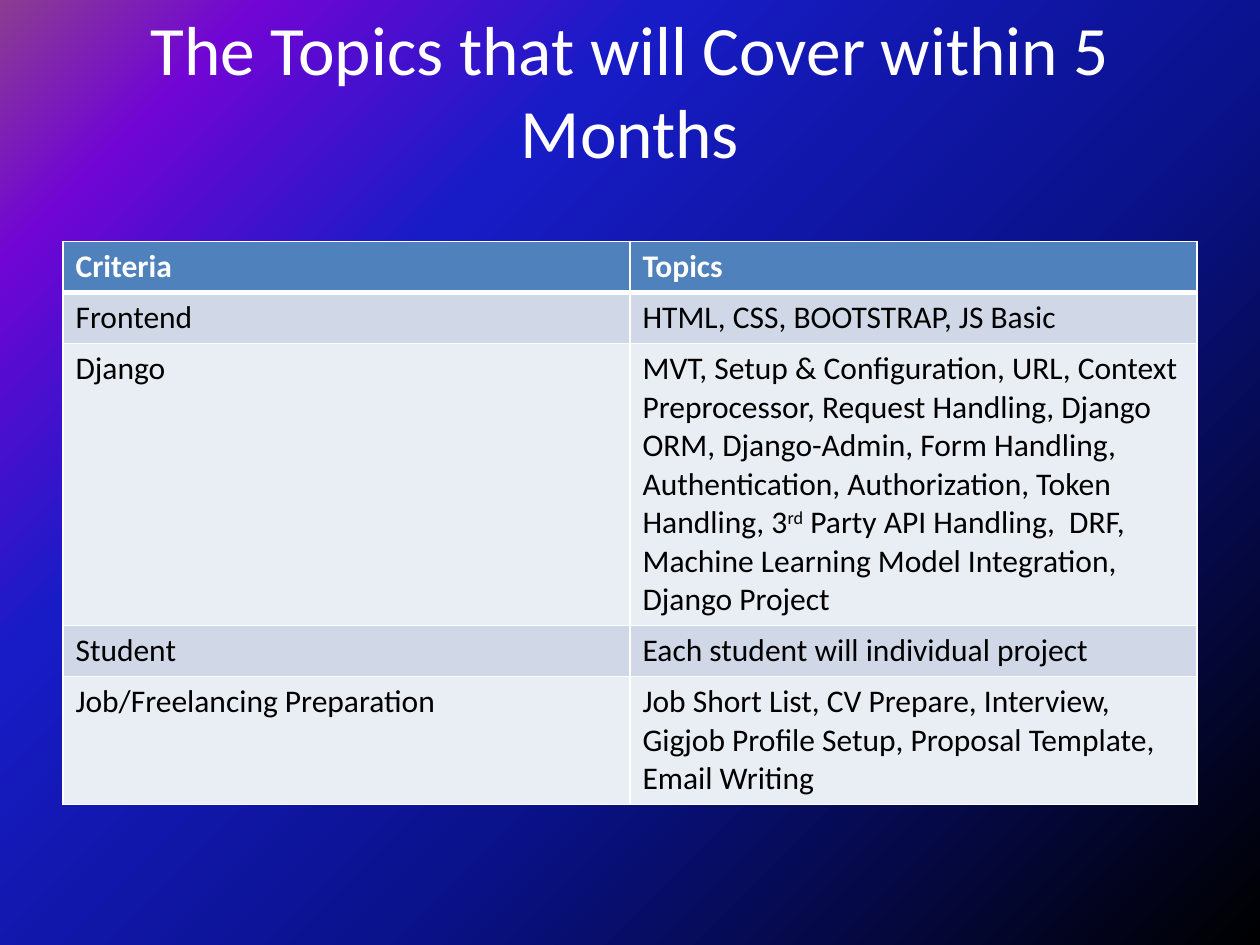
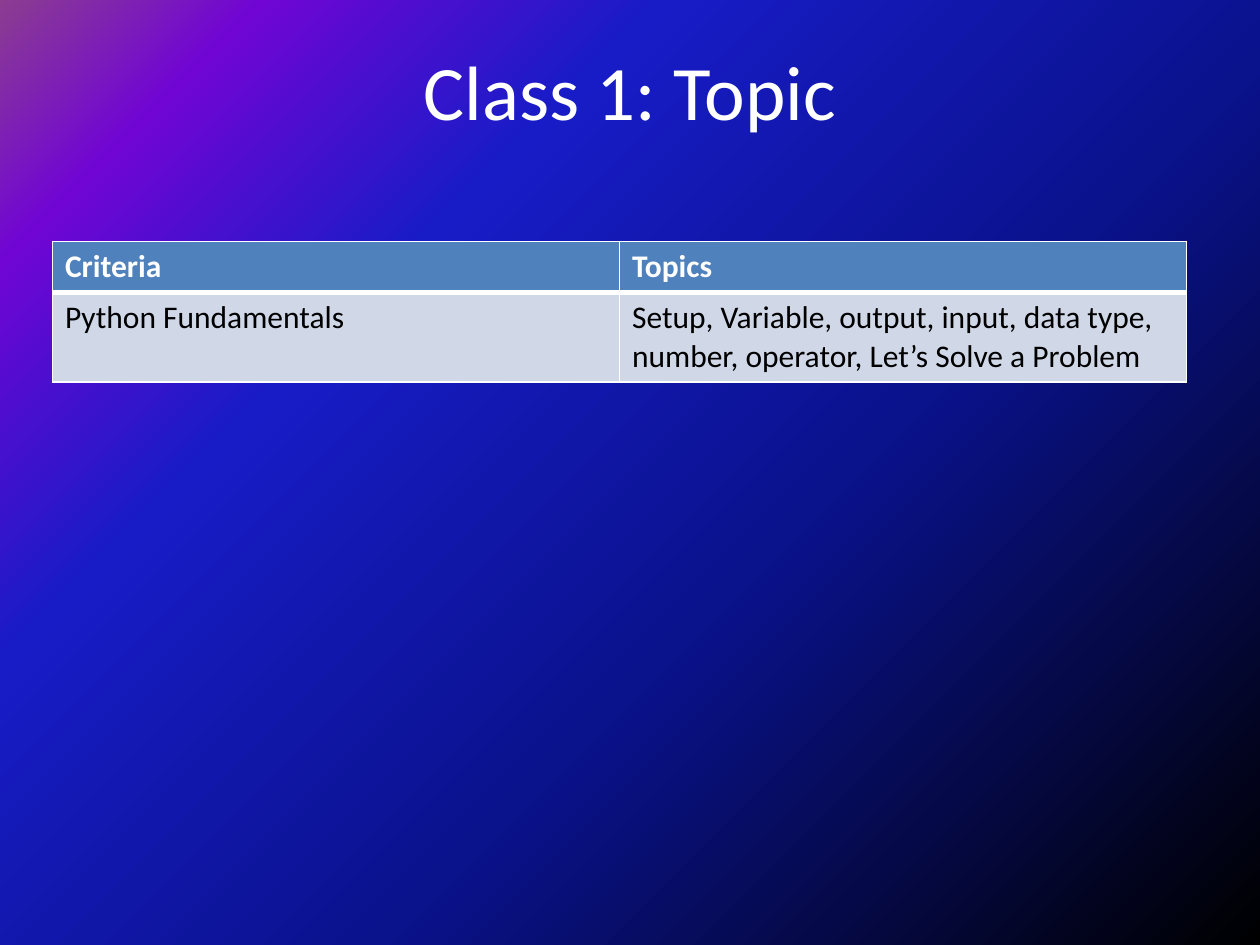
from pptx import Presentation
from pptx.dml.color import RGBColor
from pptx.enum.text import MSO_ANCHOR, MSO_AUTO_SIZE, PP_ALIGN
from pptx.oxml import parse_xml
from pptx.oxml.ns import nsdecls
from pptx.util import Pt

WHITE, BLACK, HEAD = "FFFFFF", "000000", "4F81BD"
BANDS = ["D0D8E8", "E9EDF4"]
STOPS = [(0, BLACK), (40, "0A128C"), (70, "181CC7"), (88, "7005D4"), (100, "8C3D91")]
ROW = 29.2


def color(code):
    return RGBColor.from_string(code)


class Deck:
    face = "Calibri"

    def __init__(self):
        self.prs = Presentation()
        self.prs.slide_width, self.prs.slide_height = Pt(720), Pt(540)
        self.slide = None
        self.backdrop()

    def backdrop(self):
        fill = self.prs.slide_master.background.fill
        fill.solid()
        stops = "".join(
            f'<a:gs pos="{pos * 1000}"><a:srgbClr val="{code}"/></a:gs>'
            for pos, code in STOPS
        )
        grad = parse_xml(
            f'<a:gradFill {nsdecls("a")} rotWithShape="1"><a:gsLst>{stops}</a:gsLst>'
            '<a:path path="circle"><a:fillToRect l="100000" t="100000"/></a:path>'
            "</a:gradFill>"
        )
        back = self.prs.slide_master.element.cSld.find(".//{*}bgPr")
        back.replace(back[0], grad)

    def style(self, par, size, code, bold=False):
        font = par.font
        font.name, font.size, font.bold = self.face, Pt(size), bold
        font.color.rgb = color(code)

    def page(self, text, size):
        self.slide = self.prs.slides.add_slide(self.prs.slide_layouts[5])
        title = self.slide.shapes.title
        title.left, title.top = Pt(36), Pt(6)
        title.width, title.height = Pt(648), Pt(90)
        frame = title.text_frame
        frame.text = text
        frame.word_wrap = True
        frame.auto_size = MSO_AUTO_SIZE.NONE
        frame.vertical_anchor = MSO_ANCHOR.MIDDLE
        frame.paragraphs[0].alignment = PP_ALIGN.CENTER
        self.style(frame.paragraphs[0], size, WHITE)

    def edges(self, cell, top, bottom):
        props = cell._tc.get_or_add_tcPr()
        widths = [("L", 1), ("R", 1), ("T", top), ("B", bottom)]
        for spot, (side, width) in enumerate(widths):
            props.insert(spot, parse_xml(
                f'<a:ln{side} {nsdecls("a")} w="{Pt(width)}"><a:solidFill>'
                f'<a:srgbClr val="{WHITE}"/></a:solidFill></a:ln{side}>'
            ))

    def cell(self, cell, text, row):
        par = cell.text_frame.paragraphs[0]
        for num, part in enumerate(text.split("^")):
            run = par.add_run()
            run.text = part
            if num % 2:
                run._r.get_or_add_rPr().set("baseline", "30000")
        first = row == 0
        self.style(par, 18, WHITE if first else BLACK, first)
        cell.fill.solid()
        cell.fill.fore_color.rgb = color(HEAD if first else BANDS[(row - 1) % 2])
        self.edges(cell, 3 if row == 1 else 1, 3 if first else 1)

    def table(self, left, body):
        rows = [("Criteria", "Topics")] + body
        shape = self.slide.shapes.add_table(
            len(rows), 2, Pt(left), Pt(138), Pt(648), Pt(ROW * len(rows))
        )
        grid = shape.table
        for r, texts in enumerate(rows):
            grid.rows[r].height = Pt(ROW)
            for c, text in enumerate(texts):
                self.cell(grid.cell(r, c), text, r)


def main():
    deck = Deck()
    deck.page("The Topics that will Cover within 5 Months", 39.6)
    deck.table(36, [
        ("Frontend", "HTML, CSS, BOOTSTRAP, JS Basic"),
        ("Django", "MVT, Setup & Configuration, URL, Context Preprocessor, "
                   "Request Handling, Django ORM, Django-Admin, Form Handling, "
                   "Authentication, Authorization, Token Handling, 3^rd^ Party API "
                   "Handling,  DRF, Machine Learning Model Integration, Django Project"),
        ("Student", "Each student will individual project"),
        ("Job/Freelancing Preparation",
         "Job Short List, CV Prepare, Interview, Gigjob Profile Setup, "
         "Proposal Template, Email Writing"),
    ])
    deck.page("Class 1: Topic", 44)
    deck.table(30, [
        ("Python Fundamentals", "Setup, Variable, output, input, data type, number, "
                                "operator, Let’s Solve a Problem"),
    ])
    deck.prs.save("out.pptx")


if __name__ == "__main__":
    main()
